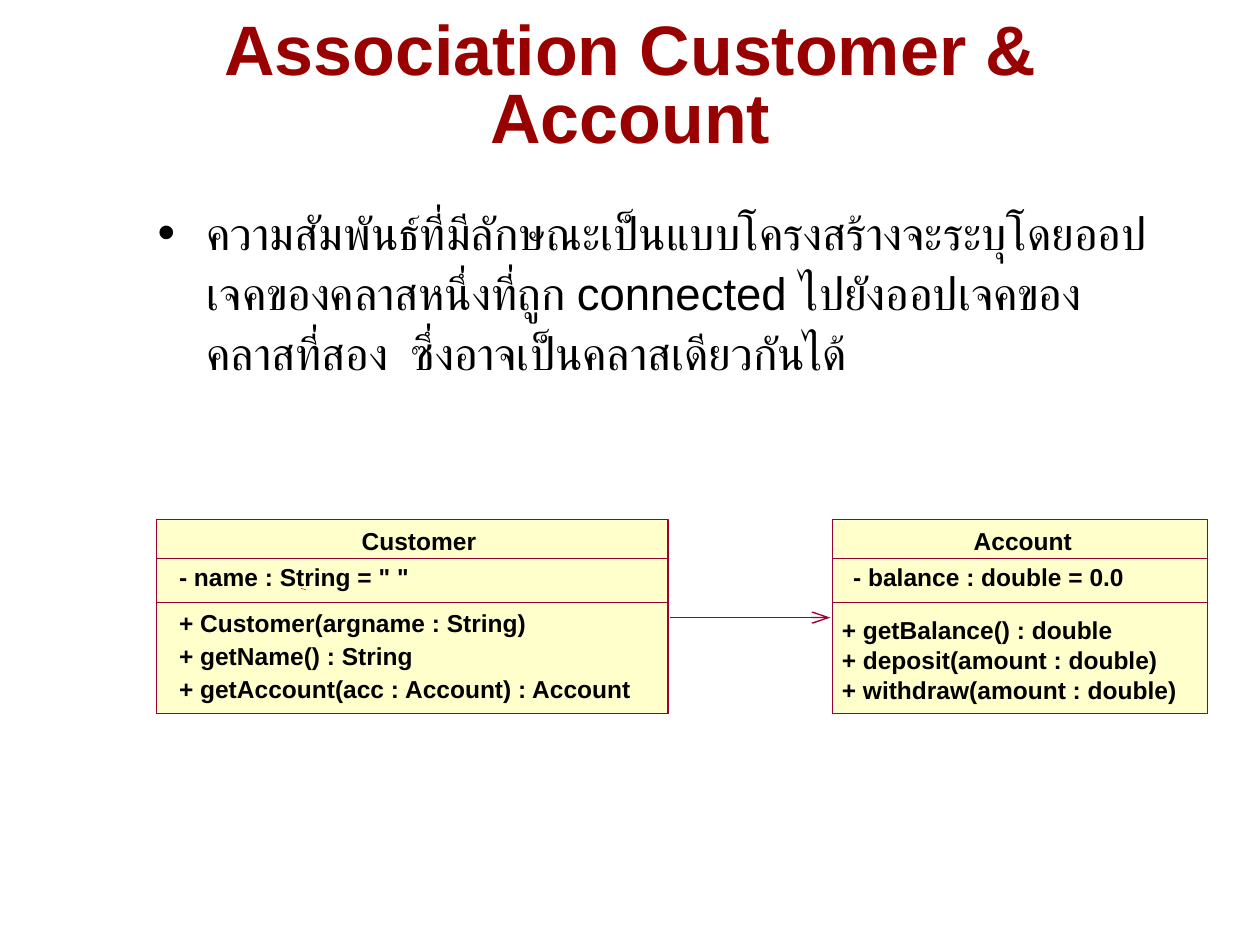
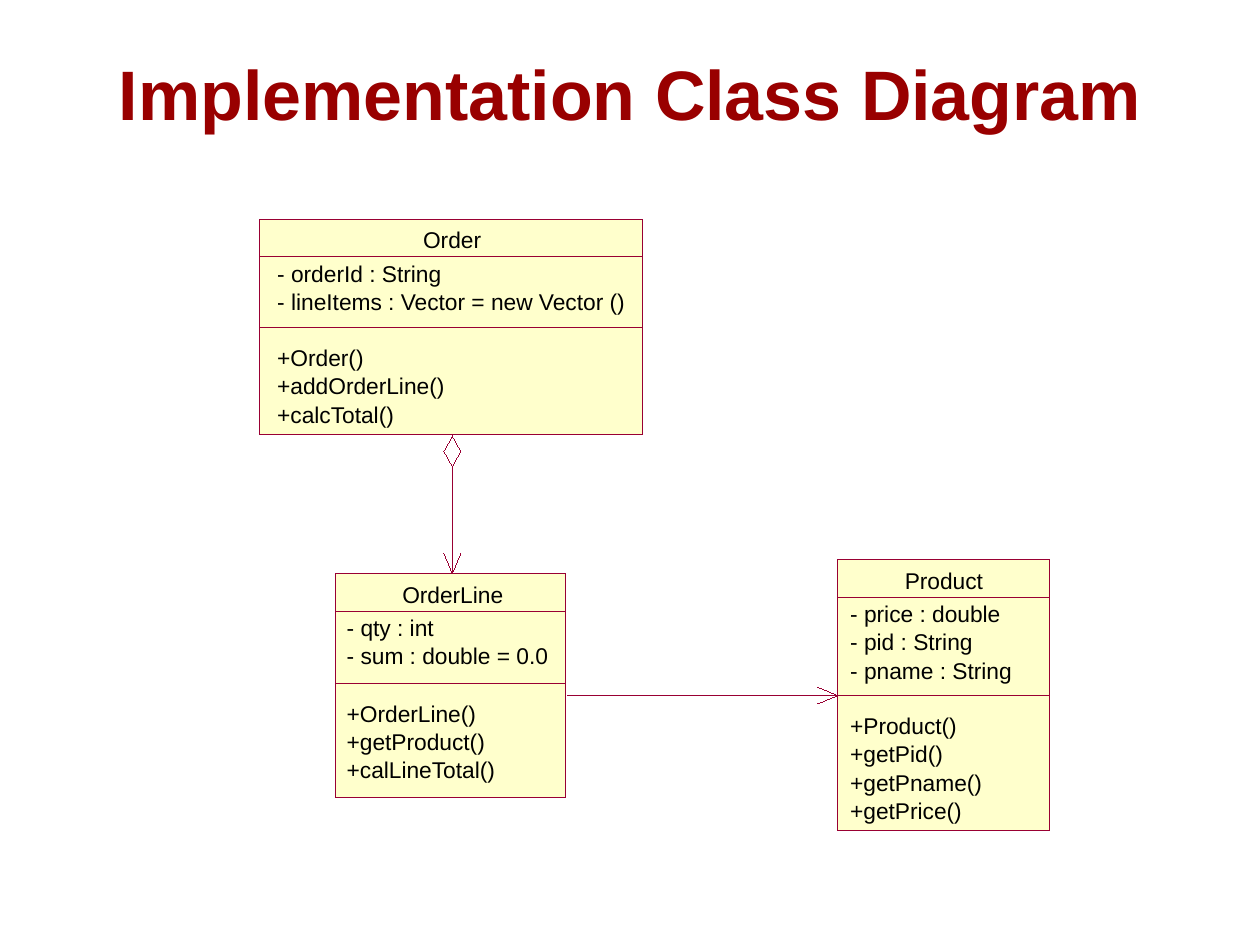
from math import atan2, cos, sin

from lxml import etree
from pptx import Presentation
from pptx import util as u
from pptx.dml.color import RGBColor
from pptx.enum import shapes, text
from pptx.oxml import ns

FONT = "Arial"
TITLE_RED, BLACK, WHITE = "990000", "000000", "FFFFFF"
BOX_FILL, BOX_LINE = "FFFFCC", "990033"
HAIRLINE = 0.01  # a width of 0 would fall back to the theme's line width
BOLD_STYLE = {"font": {"size": u.Pt(14), "bold": True}, "line": 0.75,
              "name_height": 0.61, "row_height": 0.61, "header": 0.79}
PLAIN_STYLE = {"font": {"size": u.Pt(13), "bold": False}, "line": HAIRLINE,
               "name_height": 0.66, "row_height": 0.56, "header": 0.76}


def color(value):
    return RGBColor.from_string(value)


def lengths(box):
    return [u.Cm(value) for value in box]


def add_child(parent, tag, **attributes):
    child = etree.SubElement(parent, ns.qn(tag))
    for key, value in attributes.items():
        child.set(key, value)
    return child


def add_text(slide, box, content, font, hue=BLACK, **frame_format):
    """Adds a text box without insets and returns its paragraph."""
    frame = slide.shapes.add_textbox(*lengths(box)).text_frame
    frame_format = {"margin_left": 0, "margin_top": 0, "margin_right": 0,
                    "margin_bottom": 0, "word_wrap": True, **frame_format}
    for key, value in frame_format.items():
        setattr(frame, key, value)
    paragraph = frame.paragraphs[0]
    run = paragraph.add_run()
    run.text = content
    for key, value in {"name": FONT, **font}.items():
        setattr(run.font, key, value)
    run.font.color.rgb = color(hue)
    return paragraph


def add_label(slide, box, content, style):
    add_text(slide, box, content, style["font"], word_wrap=False,
             auto_size=text.MSO_AUTO_SIZE.SHAPE_TO_FIT_TEXT)


def add_outline(slide, kind, box, line_width, fill=None):
    shape = slide.shapes.add_shape(kind, *lengths(box))
    shape.shadow.inherit = False
    if fill:
        shape.fill.solid()
        shape.fill.fore_color.rgb = color(fill)
    else:
        shape.fill.background()
    shape.line.color.rgb = color(BOX_LINE)
    shape.line.width = u.Pt(line_width)


def add_line(slide, start, end, line_width, arrow=False):
    connector = slide.shapes.add_connector(
        shapes.MSO_CONNECTOR.STRAIGHT, *lengths((*start, *end)))
    connector.line.color.rgb = color(BOX_LINE)
    connector.line.width = u.Pt(line_width)
    properties = connector._element.spPr
    if arrow:
        add_child(properties.find(ns.qn("a:ln")), "a:tailEnd",
                  type="arrow", w="med", len="lg")
    add_child(properties, "a:effectLst")


def add_open_arrow(slide, start, end, length=0.41, half_width=0.17):
    """Draws a hairline whose arrowhead is made of two wings."""
    add_line(slide, start, end, HAIRLINE)
    angle = atan2(end[1] - start[1], end[0] - start[0])
    for side in (half_width, -half_width):
        wing = (end[0] - length * cos(angle) - side * sin(angle),
                end[1] - length * sin(angle) + side * cos(angle))
        add_line(slide, end, wing, HAIRLINE)


def add_title(slide, box, content):
    paragraph = add_text(slide, box, content, {"size": u.Pt(40), "bold": True},
                         TITLE_RED, vertical_anchor=text.MSO_ANCHOR.MIDDLE)
    paragraph.alignment = text.PP_ALIGN.CENTER
    paragraph.line_spacing = 0.81


def add_bullet(slide, box, content):
    paragraph = add_text(slide, box, content, {"size": u.Pt(26)})
    paragraph.line_spacing = 1.1
    properties = paragraph._p.get_or_add_pPr()
    properties.set("marL", str(u.Cm(0.99)))
    properties.set("indent", str(-u.Cm(0.99)))
    add_child(add_child(properties, "a:buClr"), "a:srgbClr", val=BLACK)
    add_child(properties, "a:buSzPct", val="110000")
    add_child(properties, "a:buFont", typeface=FONT)
    add_child(properties, "a:buChar", char="•")


def add_class(slide, box, style, name, divider, attributes, methods):
    """Draws a class; name is (text, indent, width) and each compartment is
    (indent, gap above, row pitch, rows of (text, width))."""
    left, top, width, height = box
    rectangle = shapes.MSO_SHAPE.RECTANGLE
    add_outline(slide, rectangle, box, style["line"], BOX_FILL)
    title, title_indent, title_width = name
    add_label(slide, (left + title_indent, top + 0.14, title_width,
                      style["name_height"]), title, style)
    for offset, compartment in ((style["header"], attributes), (divider, methods)):
        add_outline(slide, rectangle, (left, top + offset, width, height - offset),
                    style["line"])
        indent, gap, pitch, rows = compartment
        for index, (content, row_width) in enumerate(rows):
            add_label(slide, (left + indent, top + offset + gap + index * pitch,
                              row_width, style["row_height"]), content, style)


def build_association(slide):
    add_title(slide, (1.91, 0.2, 21.59, 3.18), "Association Customer & Account")
    add_bullet(slide, (3.18, 4.02, 20.12, 3.61),
               "ความสัมพันธ์ที่มีลักษณะเป็นแบบโครงสร้างจะระบุโดยออปเจคของคลาสหนึ่งที่ถูก "
               "connected ไปยังออปเจคของคลาสที่สอง  ซึ่งอาจเป็นคลาสเดียวกันได้")
    add_class(slide, (3.15, 10.47, 10.32, 3.92), BOLD_STYLE,
              ("Customer", 4.14, 2.4), 1.68,
              (0.46, 0.07, 0.6, [('- name : String = " "', 4.75)]),
              (0.46, 0.1, 0.67, [("+ Customer(argname : String)", 7.14),
                                 ("+ getName() : String", 4.85),
                                 ("+ getAccount(acc : Account) : Account", 9.22)]))
    add_class(slide, (16.79, 10.47, 7.55, 3.92), BOLD_STYLE,
              ("Account", 2.84, 2.1), 1.68,
              (0.41, 0.07, 0.6, [("- balance : double = 0.0", 5.6)]),
              (0.18, 0.25, 0.6, [("+ getBalance() : double", 5.6),
                                 ("+ deposit(amount : double)", 6.5),
                                 ("+ withdraw(amount : double)", 6.9)]))
    add_line(slide, (13.51, 12.45), (16.74, 12.45), 0.75, arrow=True)
    add_line(slide, (6.17, 11.89), (6.07, 11.86), 0.25)


def build_class_diagram(slide):
    add_title(slide, (1.27, 0.43, 22.86, 3.18), "Implementation Class Diagram")
    classes = [
        ((16.89, 11.28, 4.27, 5.46), ("Product", 1.35, 1.93), 2.74, 0.25,
         [("- price : double", 3.1), ("- pid : String", 2.55),
          ("- pname : String", 3.35)],
         [("+Product()", 2.2), ("+getPid()", 1.95),
          ("+getPname()", 2.75), ("+getPrice()", 2.35)]),
        ((5.23, 4.42, 7.72, 4.34), ("Order", 3.3, 1.5), 2.18, 0.36,
         [("- orderId : String", 3.4),
          ("- lineItems : Vector = new Vector ()", 7.15)],
         [("+Order()", 1.8), ("+addOrderLine()", 3.45), ("+calcTotal()", 2.45)]),
        ((6.76, 11.56, 4.65, 4.52), ("OrderLine", 1.35, 2.44), 2.21, 0.23,
         [("- qty : int", 1.8), ("- sum : double = 0.0", 4.15)],
         [("+OrderLine()", 2.7), ("+getProduct()", 2.85),
          ("+calLineTotal()", 3.05)]),
    ]
    for box, name, divider, indent, attributes, methods in classes:
        add_class(slide, box, PLAIN_STYLE, name, divider,
                  (indent, 0.05, 0.57, attributes), (indent, 0.33, 0.57, methods))
    add_open_arrow(slide, (11.43, 14.02), (16.89, 14.02))
    add_open_arrow(slide, (9.12, 8.79), (9.12, 11.56))
    add_outline(slide, shapes.MSO_SHAPE.DIAMOND, (8.95, 8.79, 0.34, 0.61),
                HAIRLINE, WHITE)


def main():
    presentation = Presentation()
    presentation.slide_width, presentation.slide_height = lengths((25.4, 19.05))
    for build in (build_association, build_class_diagram):
        build(presentation.slides.add_slide(presentation.slide_layouts[6]))
    presentation.save("out.pptx")


if __name__ == "__main__":
    main()
